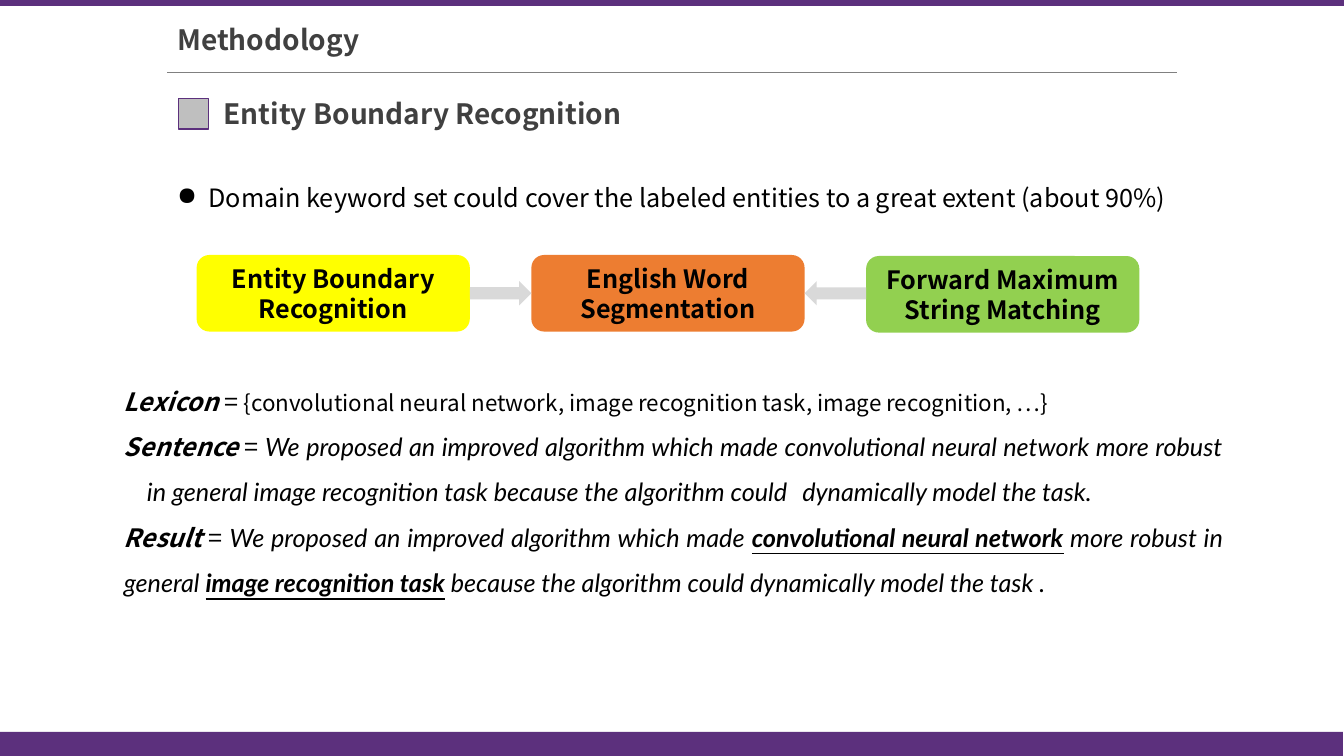
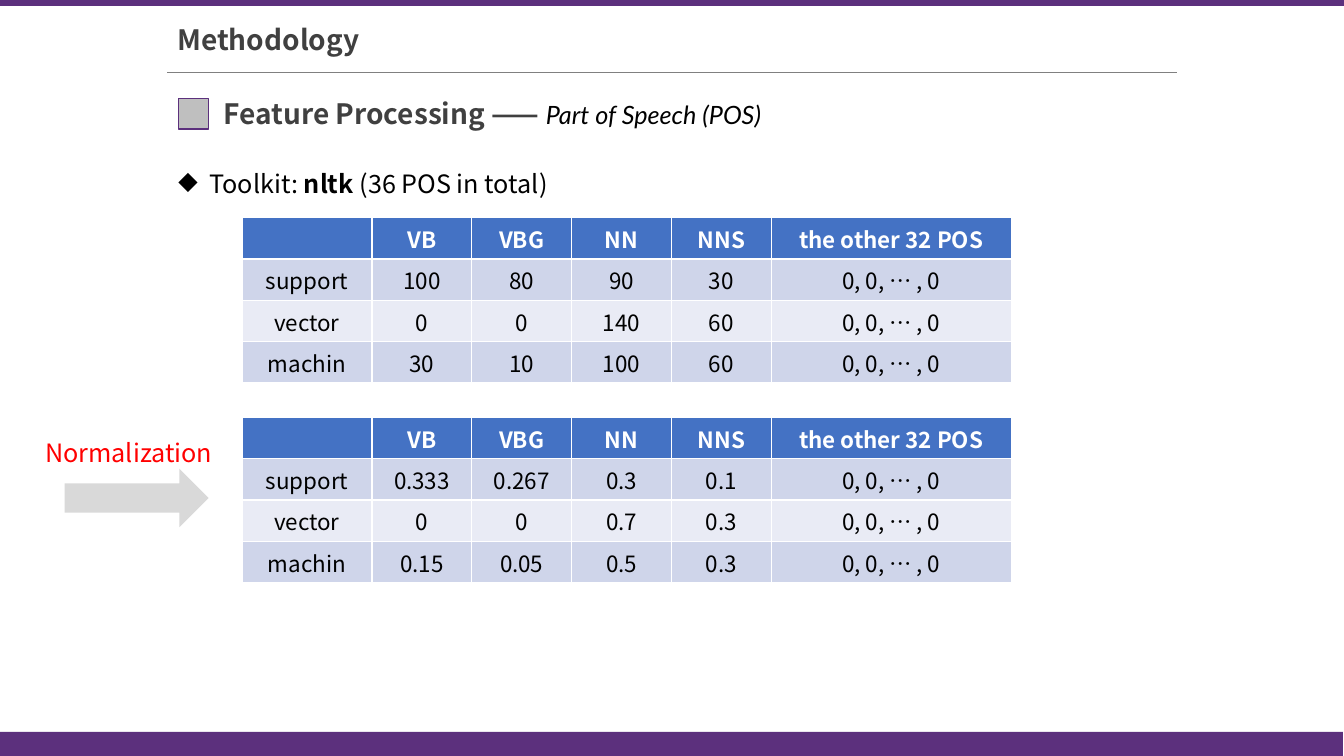
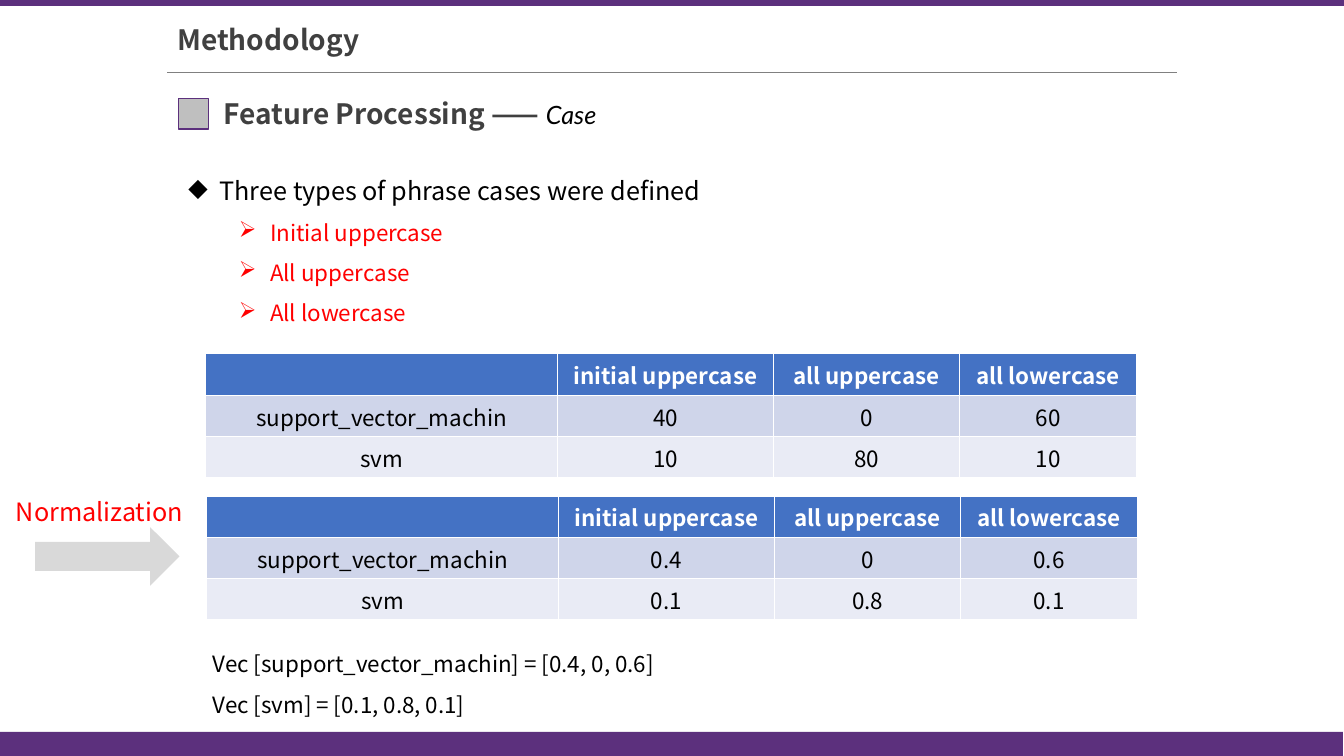
from lxml.etree import SubElement
from pptx import Presentation
from pptx.dml.color import RGBColor
from pptx.enum.shapes import MSO_CONNECTOR, MSO_SHAPE
from pptx.enum.text import MSO_ANCHOR, MSO_AUTO_SIZE, PP_ALIGN
from pptx.oxml.ns import qn
from pptx.util import Inches, Pt

PURPLE = RGBColor(0x5C, 0x30, 0x7D)
CHARCOAL = RGBColor(0x40, 0x40, 0x40)
RULE_GRAY = RGBColor(0x80, 0x80, 0x80)
MARKER_GRAY = RGBColor(0xBF, 0xBF, 0xBF)
ARROW_GRAY = RGBColor(0xD9, 0xD9, 0xD9)
BLACK = RGBColor(0, 0, 0)
WHITE = RGBColor(0xFF, 0xFF, 0xFF)
RED = RGBColor(0xFF, 0, 0)
YELLOW = RGBColor(0xFF, 0xFF, 0)
ORANGE = RGBColor(0xED, 0x7D, 0x31)
GREEN = RGBColor(0x92, 0xD0, 0x50)
HEADER_BLUE = RGBColor(0x44, 0x72, 0xC4)
BANDS = (RGBColor(0xCF, 0xD5, 0xEA), RGBColor(0xE9, 0xEB, 0xF5))

SANS = "Noto Sans CJK SC"
LATO = "Lato"
ROW_HEIGHT = 0.41
LEAD = {"bold": True, "italic": True}
QUOTE = {"font": LATO, "italic": True}
FOUND = {**QUOTE, "bold": True, "underline": True}


def add_run(paragraph, text, size=18, color=BLACK, font=SANS, bold=False, italic=False, underline=False):
    run = paragraph.add_run()
    run.text = text
    run.font.size = Pt(size)
    run.font.color.rgb = color
    run.font.bold = bold
    run.font.italic = italic
    run.font.underline = underline
    run.font.name = font
    SubElement(run.font._element, qn("a:ea"), typeface=SANS)


def format_paragraph(paragraph, align=PP_ALIGN.JUSTIFY, spacing=1.5, bullet=None, left=0, hanging=0, level=0):
    paragraph.alignment = align
    paragraph.level = level
    if spacing:
        paragraph.line_spacing = spacing
    if hanging:
        properties = paragraph._p.get_or_add_pPr()
        properties.set("marL", str(Inches(left)))
        properties.set("indent", str(-Inches(hanging)))
        if bullet:
            SubElement(properties, qn("a:buChar"), char=bullet)


def add_text(slide, left, top, width, height, paragraphs):
    box = slide.shapes.add_textbox(Inches(left), Inches(top), Inches(width), Inches(height))
    frame = box.text_frame
    frame.word_wrap = True
    frame.auto_size = MSO_AUTO_SIZE.SHAPE_TO_FIT_TEXT
    for index, (runs, layout) in enumerate(paragraphs):
        paragraph = frame.add_paragraph() if index else frame.paragraphs[0]
        for text, style in runs:
            add_run(paragraph, text, **style)
        format_paragraph(paragraph, **layout)
    return frame


def add_block(slide, preset, left, top, width, height, fill, outline=None):
    block = slide.shapes.add_shape(preset, Inches(left), Inches(top), Inches(width), Inches(height))
    block.shadow.inherit = False
    block.fill.solid()
    block.fill.fore_color.rgb = fill
    if outline:
        block.line.color.rgb = outline
        block.line.width = Pt(1)
    else:
        block.line.fill.background()
    return block


def add_arrow(slide, left, top, width, height, rotation=0):
    add_block(slide, MSO_SHAPE.RIGHT_ARROW, left, top, width, height, ARROW_GRAY).rotation = rotation


def add_step(slide, left, top, label, fill):
    step = add_block(slide, MSO_SHAPE.ROUNDED_RECTANGLE, left, top, 2.71, 0.76, fill)
    step.text_frame.word_wrap = True
    step.text_frame.vertical_anchor = MSO_ANCHOR.MIDDLE
    paragraph = step.text_frame.paragraphs[0]
    add_run(paragraph, label, bold=True)
    format_paragraph(paragraph, align=PP_ALIGN.CENTER, spacing=None)


def add_table(slide, left, top, widths, rows):
    table = slide.shapes.add_table(
        len(rows), len(widths), Inches(left), Inches(top),
        Inches(sum(widths)), Inches(ROW_HEIGHT * len(rows))).table
    for column, width in zip(table.columns, widths):
        column.width = Inches(width)
    for r, values in enumerate(rows):
        table.rows[r].height = Inches(ROW_HEIGHT)
        for c, value in enumerate(values):
            cell = table.cell(r, c)
            cell.fill.solid()
            cell.fill.fore_color.rgb = BANDS[(r - 1) % 2] if r else HEADER_BLUE
            paragraph = cell.text_frame.paragraphs[0]
            paragraph.alignment = PP_ALIGN.CENTER
            if value:
                add_run(paragraph, value, size=16, color=BLACK if r else WHITE, bold=not r)


def add_normalization(slide, left, top):
    add_arrow(slide, left + 0.29, top + 0.51, 1.43, 0.58)
    add_text(slide, left, top, 1.99, 0.5, [([("Normalization", {"color": RED})], {})])


def add_methodology_slide(deck, heading, topic=None):
    slide = deck.slides.add_slide(deck.slide_layouts[6])
    add_block(slide, MSO_SHAPE.RECTANGLE, 0, 0, 13.33, 0.06, PURPLE)
    rule = slide.shapes.add_connector(
        MSO_CONNECTOR.STRAIGHT, Inches(1.66), Inches(0.72), Inches(11.67), Inches(0.72))
    rule.line.color.rgb = RULE_GRAY
    rule.line.width = Pt(0.5)
    SubElement(rule._element.spPr, qn("a:effectLst"))
    add_block(slide, MSO_SHAPE.RECTANGLE, 0, 7.26, 13.32, 0.24, PURPLE)

    title_style = {"size": 20, "color": CHARCOAL, "bold": True}
    plain = {"align": PP_ALIGN.LEFT, "spacing": None}
    heading_runs = [(heading, title_style)]
    if topic:
        heading_runs = [(f"{heading} —— ", title_style), (topic, QUOTE)]
    add_text(slide, 1.66, 0.17, 2.89, 0.44, [([("Methodology", title_style)], plain)])
    add_text(slide, 2.12, 0.91, 8.19 if topic else 4.79, 0.44, [(heading_runs, plain)])
    add_block(slide, MSO_SHAPE.RECTANGLE, 1.77, 0.98, 0.3, 0.3, MARKER_GRAY, PURPLE)
    return slide


def bullet_layout(char, left=0.31, level=0):
    return {"bullet": char, "left": left, "hanging": 0.31, "level": level}


def build_boundary_slide(deck):
    slide = add_methodology_slide(deck, "Entity Boundary Recognition")
    coverage = "Domain keyword set could cover the labeled entities to a great extent (about 90%)"
    add_text(slide, 1.66, 1.61, 10.6, 0.5, [([(coverage, {})], bullet_layout("●"))])

    add_step(slide, 1.95, 2.53, "Entity Boundary Recognition", YELLOW)
    add_step(slide, 5.27, 2.53, "English Word Segmentation", ORANGE)
    add_arrow(slide, 4.66, 2.79, 0.61, 0.24)
    add_step(slide, 8.59, 2.54, "Forward Maximum String Matching", GREEN)
    add_arrow(slide, 7.98, 2.79, 0.61, 0.24, rotation=180)

    lexicon = [
        ("Lexicon", LEAD), (" = ", {}),
        ("{convolutional neural network, image recognition task, image recognition, …}", {"size": 16}),
    ]
    sentence = [
        ("Sentence", LEAD), (" = ", {}),
        ("We proposed an improved algorithm which made convolutional neural network more robust "
         "in general image recognition task because the algorithm could\tdynamically model the task.", QUOTE),
    ]
    result = [
        ("Result", LEAD), (" = ", {}),
        ("We proposed an improved algorithm which made ", QUOTE),
        ("convolutional neural network", FOUND),
        (" more robust in general ", QUOTE),
        ("image recognition task", FOUND),
        (" because the algorithm could dynamically model the task .", QUOTE),
    ]
    example = add_text(slide, 1.13, 3.63, 11.4, 2.32, [
        (lexicon, {}), (sentence, {"left": 0.23, "hanging": 0.23}), (result, {})])
    example.margin_right = Inches(0.4)


def build_pos_slide(deck):
    slide = add_methodology_slide(deck, "Feature Processing", "Part of Speech (POS)")
    toolkit = [("Toolkit: ", {}), ("nltk ", {"bold": True}), ("(36 POS in total)", {})]
    add_text(slide, 1.67, 1.47, 10.6, 0.5, [(toolkit, bullet_layout("◆"))])

    header = ("", "VB", "VBG", "NN", "NNS", "the other 32 POS")
    widths = (1.29, 0.99, 0.99, 0.99, 0.99, 2.38)
    others = "0, 0, … , 0"
    counts = [
        ("support", "100", "80", "90", "30", others),
        ("vector", "0", "0", "140", "60", others),
        ("machin", "30", "10", "100", "60", others),
    ]
    shares = [
        ("support", "0.333", "0.267", "0.3", "0.1", others),
        ("vector", "0", "0", "0.7", "0.3", others),
        ("machin", "0.15", "0.05", "0.5", "0.3", others),
    ]
    add_table(slide, 2.4, 2.16, widths, [header, *counts])
    add_table(slide, 2.4, 4.14, widths, [header, *shares])
    add_normalization(slide, 0.35, 4.14)


def build_case_slide(deck):
    slide = add_methodology_slide(deck, "Feature Processing", "Case")
    cases = [([("Three types of phrase cases were defined", {})], bullet_layout("◆"))]
    for case in ("Initial uppercase", "All uppercase", "All lowercase"):
        cases.append(([(case, {"size": 16, "color": RED})], bullet_layout("➢", left=0.81, level=1)))
    add_text(slide, 1.77, 1.54, 10.6, 1.76, cases)

    header = ("", "initial uppercase", "all uppercase", "all lowercase")
    widths = (3.49, 2.14, 1.85, 1.75)
    counts = [("support_vector_machin", "40", "0", "60"), ("svm", "10", "80", "10")]
    shares = [("support_vector_machin", "0.4", "0", "0.6"), ("svm", "0.1", "0.8", "0.1")]
    add_table(slide, 2.04, 3.51, widths, [header, *counts])
    add_table(slide, 2.05, 4.92, widths, [header, *shares])
    add_normalization(slide, 0.06, 4.72)

    vectors = [([(f"Vec [{phrase}] = [{', '.join(values)}]", {"size": 16})], {})
               for phrase, *values in shares]
    add_text(slide, 2.01, 6.27, 9.65, 0.86, vectors)


def main():
    deck = Presentation()
    deck.slide_width = Inches(13.33)
    deck.slide_height = Inches(7.5)
    build_boundary_slide(deck)
    build_pos_slide(deck)
    build_case_slide(deck)
    deck.save("out.pptx")


main()
